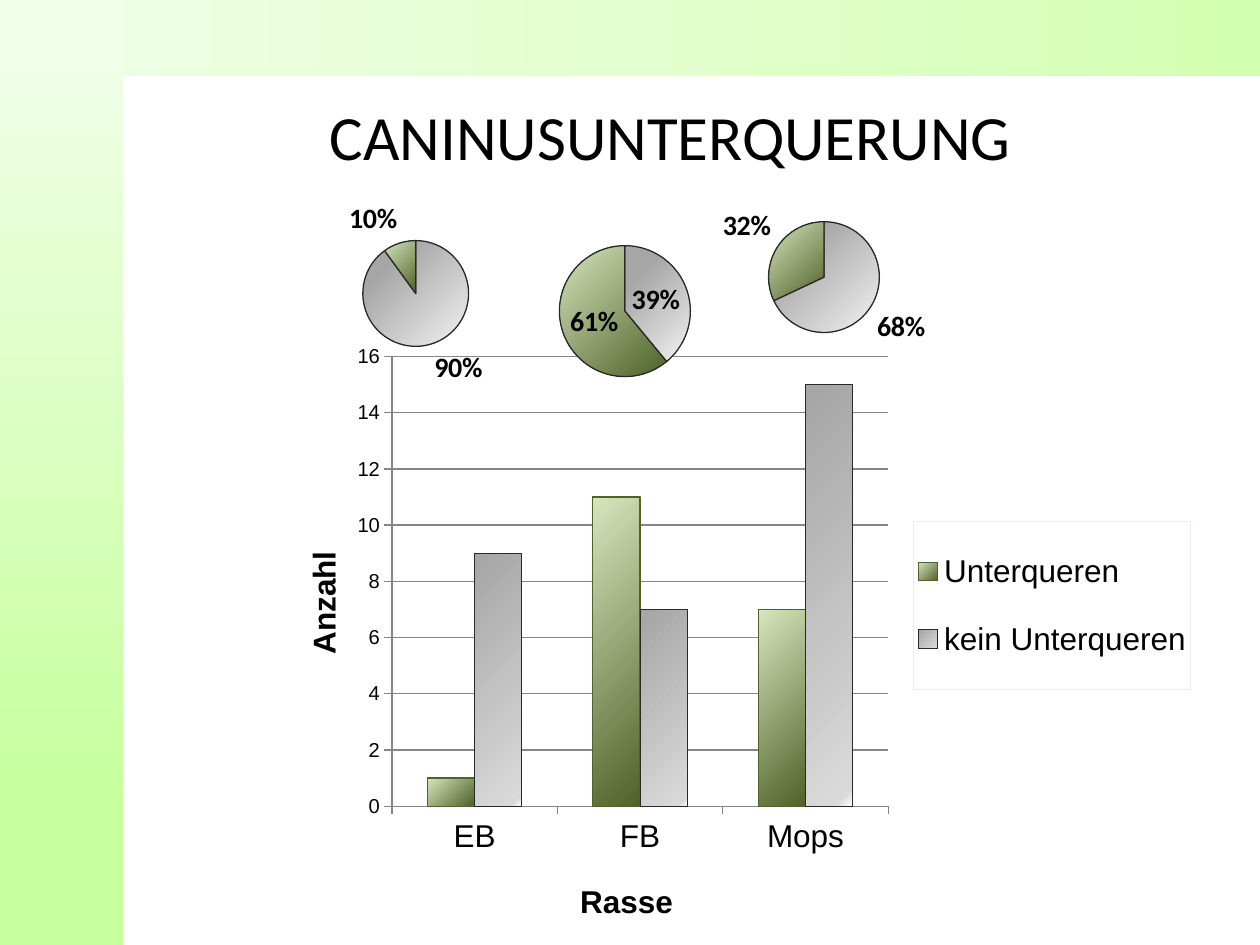
from lxml import etree
from pptx import Presentation
from pptx.chart.data import CategoryChartData
from pptx.dml.color import RGBColor
from pptx.enum.chart import XL_CHART_TYPE, XL_LABEL_POSITION, XL_LEGEND_POSITION, XL_TICK_MARK
from pptx.enum.shapes import MSO_SHAPE
from pptx.enum.text import MSO_ANCHOR, PP_ALIGN
from pptx.oxml import parse_xml
from pptx.oxml.ns import nsdecls, qn
from pptx.util import Inches, Pt

COLUMNS, PIE = XL_CHART_TYPE.COLUMN_CLUSTERED, XL_CHART_TYPE.PIE
OUTSIDE, CENTER = XL_LABEL_POSITION.OUTSIDE_END, XL_LABEL_POSITION.CENTER
RIGHT, TICK_OUT = XL_LEGEND_POSITION.RIGHT, XL_TICK_MARK.OUTSIDE
RECTANGLE = MSO_SHAPE.RECTANGLE

BLACK, OUTLINE, GRID = "000000", "292929", "868686"
DARK_GREEN, LIGHT_GREEN = "4F6228", "D7E4BD"
# Gradients: stops as (position in percent, colour), then clockwise angle
TOP_BAND = [(0, "F0FFE7"), (50, "E2FFCF"), (100, "D3FFB1")], 0
SIDE_BAND = [(6, "F0FFE7"), (31, "E2FFCF"), (86, "C6FF9C")], 90
GREEN_BAR = [(0, DARK_GREEN), (99, LIGHT_GREEN)], 225
GREY_BAR = [(2, "A6A6A6"), (96, "D9D9D9"), (100, "FFFFFF")], 45
GREEN_SLICE = [(0, DARK_GREEN), (100, LIGHT_GREEN)], 225
GREY_SLICE = [(23, "A6A6A6"), (100, "F2F2F2")], 45


def rgb(color):
    return RGBColor.from_string(color)


def style_font(font, size, name, bold=False):
    font.size, font.name, font.bold = Pt(size), name, bold
    font.color.rgb = rgb(BLACK)


def style_line(line, color, width):
    line.color.rgb = rgb(color)
    line.width = Pt(width)


def fill_gradient(fill, stops, angle):
    fill.gradient()
    gradient = fill._xPr.find(qn("a:gradFill"))
    for child in list(gradient):
        gradient.remove(child)
    stop_list = etree.SubElement(gradient, qn("a:gsLst"))
    for position, color in stops:
        stop = etree.SubElement(stop_list, qn("a:gs"), pos=str(position * 1000))
        etree.SubElement(stop, qn("a:srgbClr"), val=color)
    etree.SubElement(gradient, qn("a:lin"), ang=str(angle * 60000), scaled="0")


def set_layout(parent, index, frame, left, top, width=None, height=None):
    """Place a chart part, given in slide inches, inside the chart's frame."""
    old = parent.find(qn("c:layout"))
    if old is not None:
        parent.remove(old)
    layout = etree.Element(qn("c:layout"))
    parent.insert(index, layout)
    manual = etree.SubElement(layout, qn("c:manualLayout"))
    x, y, w, h = frame
    settings = [("xMode", "edge"), ("yMode", "edge"),
                ("x", (left - x) / w), ("y", (top - y) / h)]
    if width:
        settings += [("w", width / w), ("h", height / h)]
    if parent.tag == qn("c:plotArea"):
        settings.insert(0, ("layoutTarget", "inner"))
    for tag, value in settings:
        etree.SubElement(manual, qn("c:" + tag), val=str(value))


def set_frame(parent, line_xml):
    """Give a chart or legend no fill and the line described."""
    parent.find(qn("c:txPr")).addprevious(parse_xml(
        f'<c:spPr {nsdecls("c", "a")}><a:noFill/><a:ln>{line_xml}</a:ln></c:spPr>'))


def add_chart(slide, kind, frame, categories, series, plot_box):
    data = CategoryChartData()
    data.categories = categories
    for name, values in series:
        data.add_series(name, values)
    chart = slide.shapes.add_chart(kind, *map(Inches, frame), data).chart
    chart.has_title = chart.has_legend = False
    style_font(chart.font, 10, "Calibri")
    set_frame(chart._chartSpace, "<a:noFill/>")
    set_layout(chart._chartSpace.chart.plotArea, 0, frame, *plot_box)
    return chart


def add_bands(slide):
    for box, gradient in (((0, 0, 10, 0.6), TOP_BAND), ((0, 0, 0.98, 7.5), SIDE_BAND)):
        band = slide.shapes.add_shape(RECTANGLE, *map(Inches, box))
        band.shadow.inherit = False
        band.line.fill.background()
        fill_gradient(band.fill, *gradient)


def add_title(slide, box):
    title = slide.shapes.title
    title.left, title.top, title.width, title.height = map(Inches, box)
    frame = title.text_frame
    frame.text = "CANINUSUNTERQUERUNG"
    frame.vertical_anchor = MSO_ANCHOR.MIDDLE
    frame.paragraphs[0].alignment = PP_ALIGN.CENTER
    style_font(frame.paragraphs[0].runs[0].font, 36, "Calibri")


def add_breed_columns(slide, frame):
    chart = add_chart(slide, COLUMNS, frame, ["EB", "FB", "Mops"],
                      [("Unterqueren", (1, 11, 7)), ("kein Unterqueren", (9, 7, 15))],
                      (3.11, 2.83, 3.94, 3.57))
    plot = chart.plots[0]
    plot.gap_width, plot.overlap, plot.vary_by_categories = 150, 0, False
    looks = ((GREEN_BAR, DARK_GREEN, 0.75), (GREY_BAR, OUTLINE, 0.5))
    for series, (gradient, color, width) in zip(plot.series, looks):
        fill_gradient(series.format.fill, *gradient)
        style_line(series.format.line, color, width)

    # Axes and their titles
    breeds, counts = chart.category_axis, chart.value_axis
    for axis, text, size, corner in ((breeds, "Rasse", 18, (4.56, 6.95)),
                                     (counts, "Anzahl", 11.5, (2.36, 4.33))):
        axis.major_tick_mark = TICK_OUT
        style_font(axis.tick_labels.font, size, "Arial")
        style_line(axis.format.line, GRID, 0.75)
        heading = axis.axis_title
        heading.text_frame.text = text
        style_font(heading.text_frame.paragraphs[0].runs[0].font, 18, "Arial", True)
        set_layout(heading._element, 1, frame, *corner)
    counts.minimum_scale, counts.maximum_scale, counts.major_unit = 0, 16, 2
    style_line(counts.major_gridlines.format.line, GRID, 0.75)

    # Legend
    chart.has_legend = True
    legend = chart.legend
    legend.position, legend.include_in_layout = RIGHT, False
    style_font(legend.font, 18, "Arial")
    set_layout(legend._element, 1, frame, 7.25, 4.14, 2.2, 1.33)
    set_frame(legend._element, '<a:solidFill><a:srgbClr val="EEECE1"/></a:solidFill>')


def add_share_pie(slide, frame, shares, center, radius, label_position):
    x, y = center
    chart = add_chart(slide, PIE, frame, ["1", "2"], [("Series 1", shares)],
                      (x - radius, y - radius, 2 * radius, 2 * radius))
    plot = chart.plots[0]
    plot.vary_by_categories = False
    for index, gradient in enumerate((GREY_SLICE, GREEN_SLICE)):
        look = plot.series[0].points[index].format
        fill_gradient(look.fill, *gradient)
        style_line(look.line, OUTLINE, 0.75)
    plot.has_data_labels = True
    labels = plot.data_labels
    labels.show_percentage, labels.show_value = True, False
    labels.number_format, labels.number_format_is_linked = "0%", False
    labels.position = label_position
    style_font(labels.font, 16, "Calibri", True)


def main():
    deck = Presentation()
    deck.slide_width, deck.slide_height = Inches(10), Inches(7.5)
    slide = deck.slides.add_slide(deck.slide_layouts[5])
    add_bands(slide)
    add_title(slide, (1.14, 0.45, 8.36, 1.25))
    add_breed_columns(slide, (2.09, 2.65, 7.48, 4.83))
    # One pie per breed
    pies = ((2.01, (90, 10), (3.3, 2.33), 0.42, OUTSIDE),
            (3.58, (39, 61), (4.96, 2.47), 0.52, CENTER),
            (5.16, (68, 32), (6.54, 2.2), 0.44, OUTSIDE))
    for left, *pie in pies:
        add_share_pie(slide, (left, 1.47, 2.6, 1.73), *pie)
    deck.save("out.pptx")


if __name__ == "__main__":
    main()
